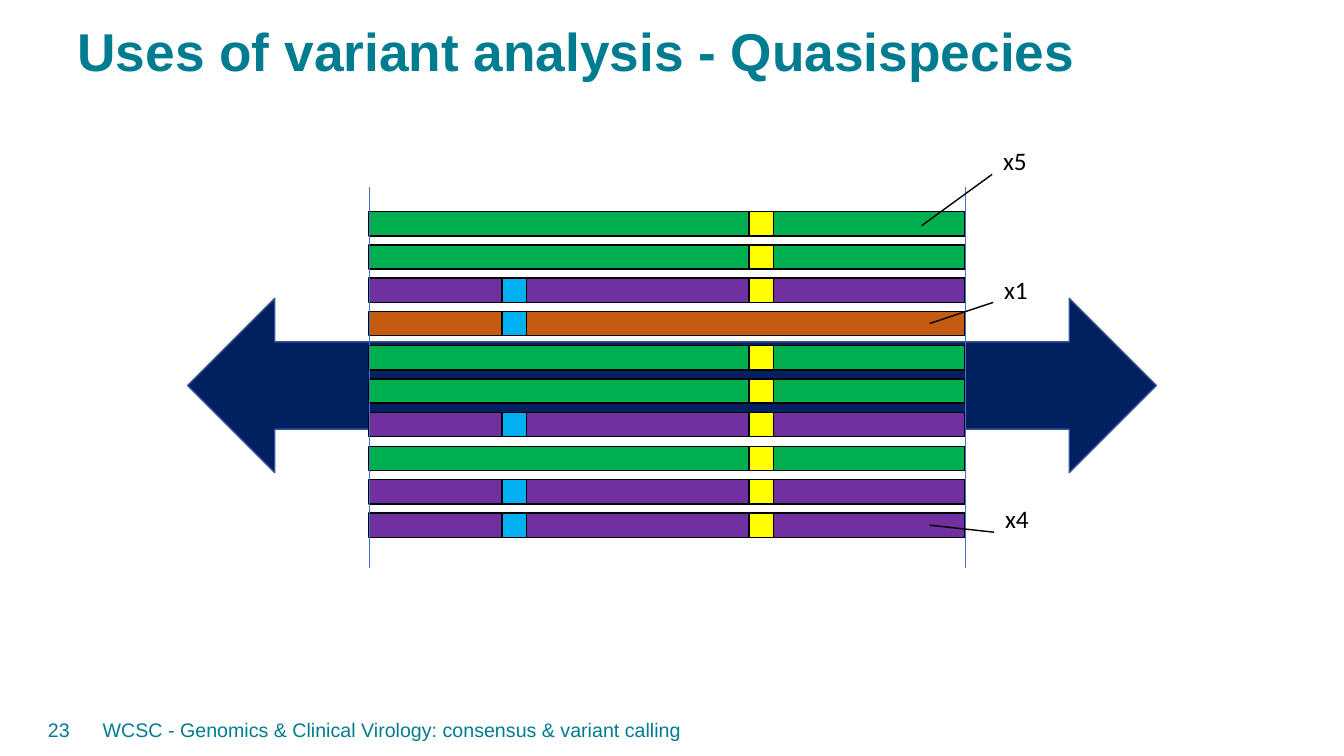
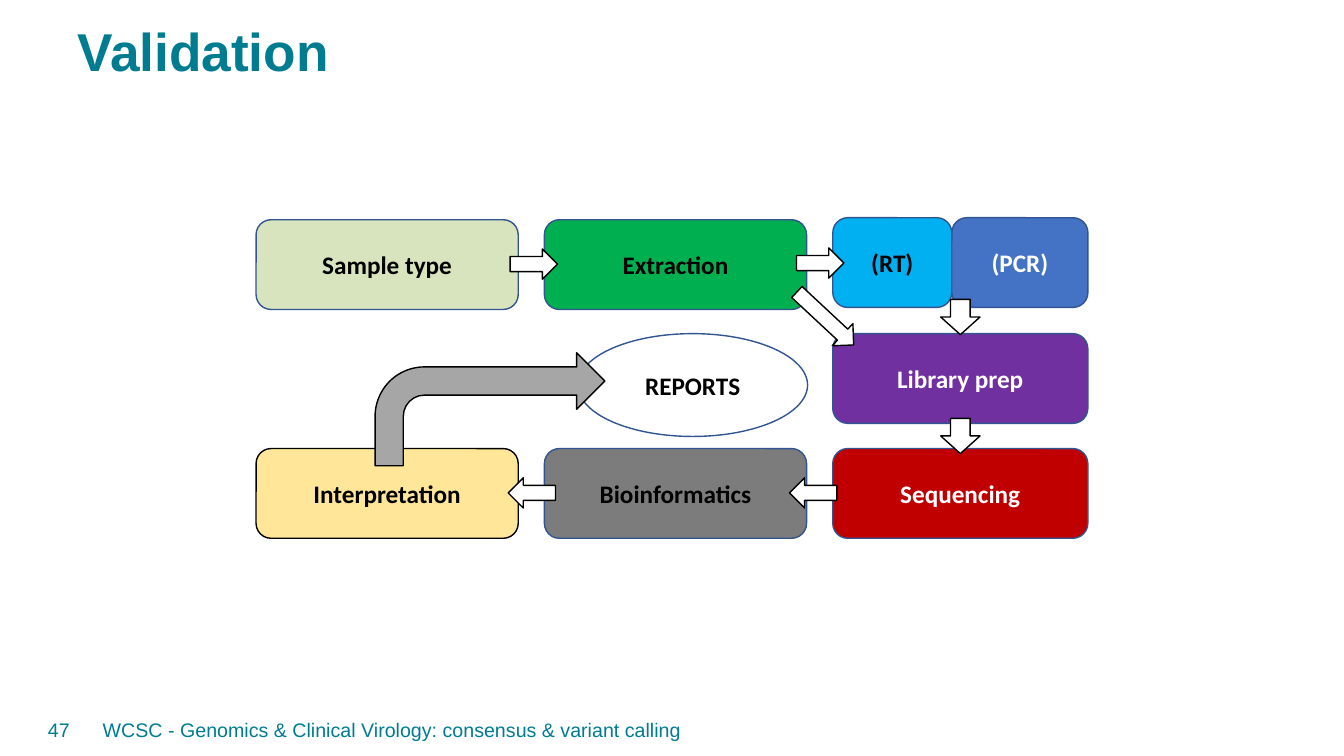
from lxml.etree import SubElement
from pptx import Presentation
from pptx.dml.color import RGBColor
from pptx.enum.shapes import MSO_CONNECTOR, MSO_SHAPE
from pptx.enum.text import MSO_ANCHOR, PP_ALIGN
from pptx.oxml.ns import qn
from pptx.util import Emu, Pt

PX = 9144
COLORS = {
    "teal": "007C91", "black": "000000", "white": "FFFFFF",
    "navy": "002060", "outline": "325491", "blue": "4472C4",
    "green": "00B050", "purple": "7030A0", "orange": "C55A11",
    "yellow": "FFFF00", "sky": "00B0F0", "sage": "D7E4BD",
    "gray": "7C7C7C", "silver": "A6A6A6", "red": "C00000",
    "cream": "FFE699",
}
FOOTER = "WCSC - Genomics & Clinical Virology: consensus & variant calling"


def px(*values):
    return [Emu(v * PX) for v in values]


def rgb(name):
    return RGBColor.from_string(COLORS[name])


def write_text(tf, text, font="Calibri", size=18, color="black", bold=False,
               align=PP_ALIGN.LEFT, anchor=MSO_ANCHOR.TOP, spacing=None,
               inset=None):
    tf.word_wrap = True
    tf.vertical_anchor = anchor
    if inset is not None:
        tf.margin_left = tf.margin_right = Emu(inset * PX)
        tf.margin_top = tf.margin_bottom = Emu(inset * PX)
    p = tf.paragraphs[0]
    p.alignment = align
    if spacing:
        p.line_spacing = spacing
    r = p.add_run()
    r.text = text
    r.font.name = font
    r.font.size = Pt(size)
    r.font.bold = bold
    r.font.color.rgb = rgb(color)


class Deck:
    def __init__(self):
        self.prs = Presentation()
        self.prs.slide_width, self.prs.slide_height = px(1333, 750)
        self.s = None

    def slide(self, title, number):
        self.s = self.prs.slides.add_slide(self.prs.slide_layouts[6])
        self.text(67, 20, 1217, 106, title, font="Arial", size=38,
                  color="teal", bold=True, spacing=0.9)
        small = dict(font="Arial", size=14, color="teal",
                     anchor=MSO_ANCHOR.MIDDLE)
        self.text(92, 704, 1094, 40, FOOTER, **small)
        self.text(14, 704, 65, 40, str(number), align=PP_ALIGN.RIGHT, **small)

    def text(self, x, y, w, h, text, **fmt):
        sp = self.s.shapes.add_textbox(*px(x, y, w, h))
        write_text(sp.text_frame, text, **fmt)

    def shape(self, kind, x, y, w, h, fill, line="black", rotation=0):
        sp = self.s.shapes.add_shape(kind, *px(x, y, w, h))
        sp.shadow.inherit = False
        sp.fill.solid()
        sp.fill.fore_color.rgb = rgb(fill)
        sp.line.color.rgb = rgb(line)
        sp.line.width = Pt(1)
        sp.rotation = rotation
        return sp

    def node(self, x, y, w, h, text, fill, color="black", line="outline",
             kind=MSO_SHAPE.ROUNDED_RECTANGLE, inset=None):
        sp = self.shape(kind, x, y, w, h, fill, line)
        write_text(sp.text_frame, text, color=color, bold=True, inset=inset,
                   align=PP_ALIGN.CENTER, anchor=MSO_ANCHOR.MIDDLE)

    def line(self, x1, y1, x2, y2, color="black", width=1):
        cx = self.s.shapes.add_connector(MSO_CONNECTOR.STRAIGHT,
                                         *px(x1, y1, x2, y2))
        cx.line.color.rgb = rgb(color)
        cx.line.width = Pt(width)
        SubElement(cx._element.spPr, qn("a:effectLst"))


def quasispecies(deck):
    deck.slide("Uses of variant analysis - Quasispecies", 23)
    deck.shape(MSO_SHAPE.LEFT_RIGHT_ARROW, 186, 296, 961, 173,
               "navy", "outline")

    left, width, top, side = 366, 591, 210, 24
    late, early = (743, "yellow"), (498, "sky")
    variants = {"green": [late], "purple": [late, early], "orange": [early]}
    reads = ["green", "green", "purple", "orange", "green",
             "green", "purple", "green", "purple", "purple"]
    for i, read in enumerate(reads):
        y = top + i * 333 // 10
        deck.shape(MSO_SHAPE.RECTANGLE, left, y, width, side, read)
        for x, fill in variants[read]:
            deck.shape(MSO_SHAPE.RECTANGLE, x, y, side, side, fill)

    for x in (left, left + width):
        deck.line(x, 186, x, 564, "blue", 0.5)

    for count, start, end, label in [
        ("x1", (922, 321), (985, 300), (986, 267)),
        ("x4", (922, 521), (986, 528), (987, 494)),
        ("x5", (914, 224), (984, 173), (985, 139)),
    ]:
        deck.line(*start, *end)
        deck.text(*label, 56, 50, count)


def validation(deck):
    deck.slide("Validation", 47)
    col1, col2, col3 = (254 + 286 * i for i in range(3))
    wide, last, high = 260, 253, 89
    row1, row2, row3 = 218, 331, 445

    deck.node(col1, row1, wide, high, "Sample type", "sage")
    deck.node(col2, row1, wide, high, "Extraction", "green")
    deck.node(col3, row1 - 2, 118, high, "(RT)", "sky")
    deck.node(col3 + 118, row1 - 2, 135, high, "(PCR)", "blue", "white")
    deck.node(col3, row2, last, high, "Library prep", "purple", "white")
    deck.node(col2, row3, wide, high, "Bioinformatics", "gray")
    deck.node(col3, row3, last, high, "Sequencing", "red", "white")
    deck.node(col1, row3, wide, high, "Interpretation", "cream", line="black")

    for kind, x, y, w, h in [
        (MSO_SHAPE.RIGHT_ARROW, 790, 246, 47, 30),
        (MSO_SHAPE.RIGHT_ARROW, 506, 247, 47, 30),
        (MSO_SHAPE.LEFT_ARROW, 504, 474, 47, 30),
        (MSO_SHAPE.LEFT_ARROW, 783, 474, 47, 30),
        (MSO_SHAPE.DOWN_ARROW, 933, 415, 39, 35),
        (MSO_SHAPE.DOWN_ARROW, 933, 297, 39, 35),
    ]:
        deck.shape(kind, x, y, w, h, "white")
    deck.shape(MSO_SHAPE.RIGHT_ARROW, 780, 301, 77, 30, "white", rotation=43)

    deck.node(573, row2, 228, 102, "REPORTS", "white",
              kind=MSO_SHAPE.OVAL, inset=0)
    deck.shape(MSO_SHAPE.BENT_ARROW, 372, 350, 228, 112, "silver")


def main():
    deck = Deck()
    quasispecies(deck)
    validation(deck)
    deck.prs.save("out.pptx")


if __name__ == "__main__":
    main()
